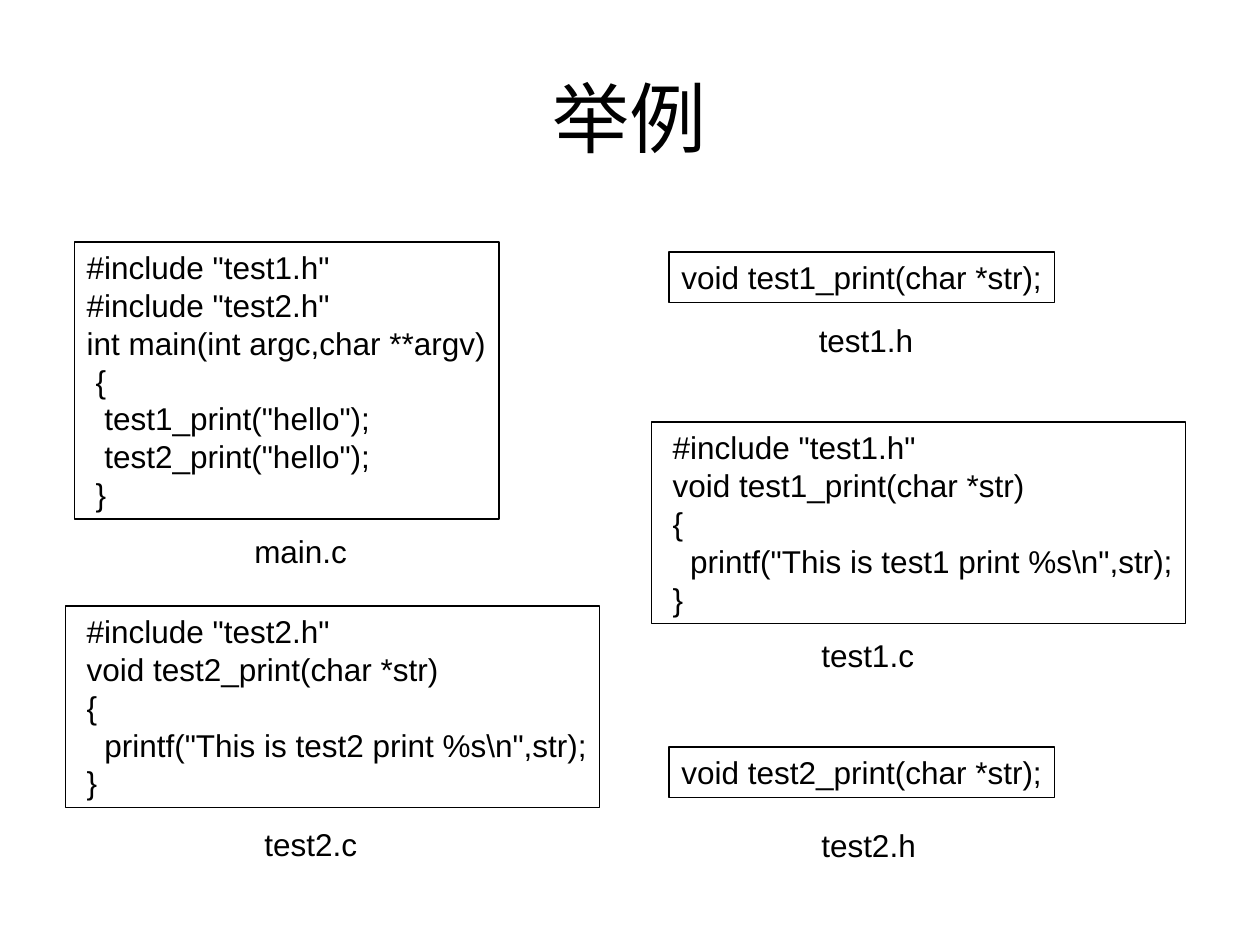
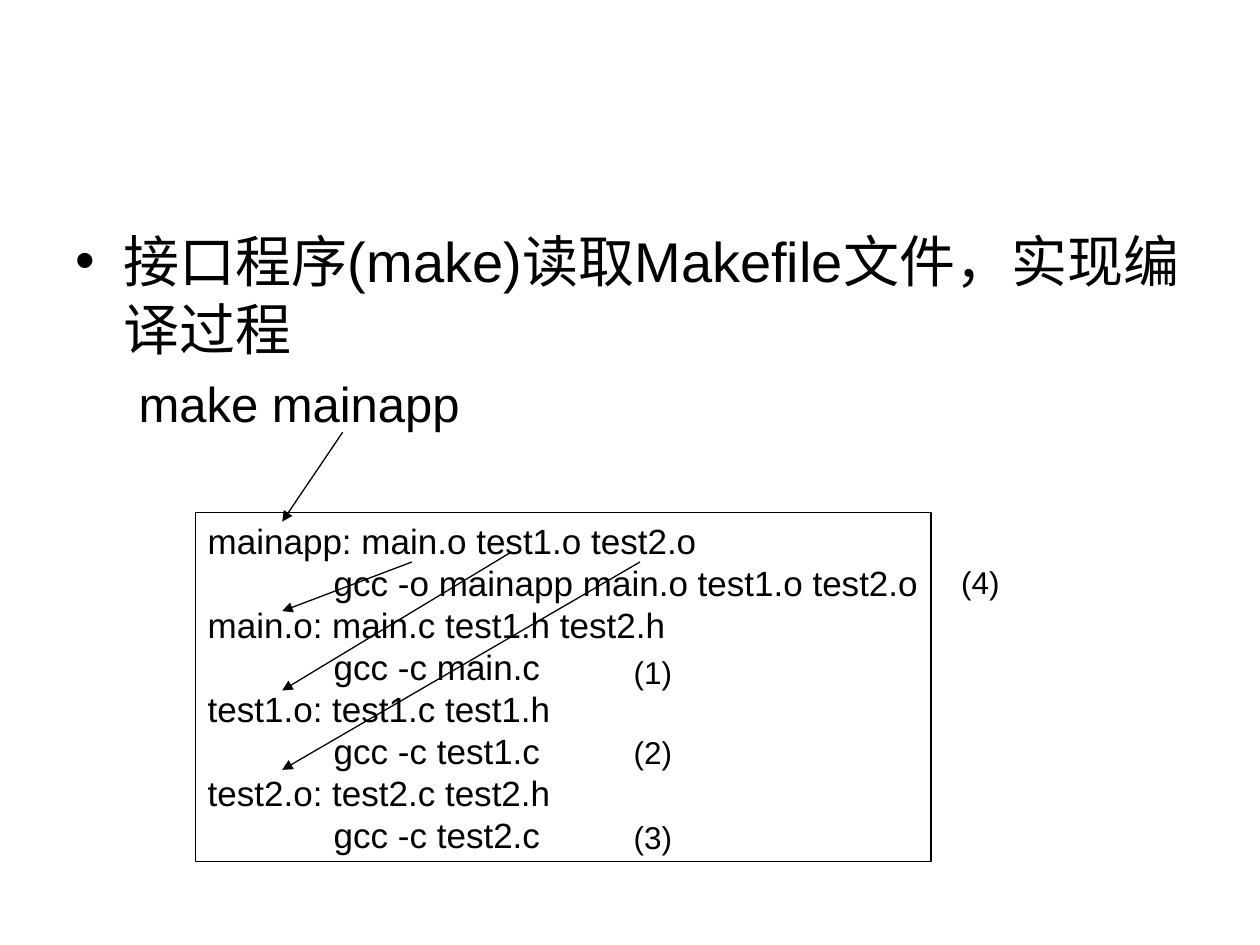
from lxml import etree
from pptx import Presentation
from pptx import util as u
from pptx.dml import color
from pptx.enum import shapes, text
from pptx.oxml import ns

COLOURS = {"ink": "000000", "paper": "FFFFFF"}
FONT = "Arial"
LINE_WIDTH = 0.75
SPACE = 0.07
LABEL_HEIGHT = 0.4
FILE_LABEL_WIDTH = 1
STEP_LABEL_WIDTH = 0.55
FRAME = {
    "margin_left": u.Inches(0.1),
    "margin_right": u.Inches(0.1),
    "margin_top": u.Inches(0.05),
    "margin_bottom": u.Inches(0.05),
}
FITTED = {
    **FRAME,
    "word_wrap": False,
    "auto_size": text.MSO_AUTO_SIZE.SHAPE_TO_FIT_TEXT,
    "vertical_anchor": text.MSO_ANCHOR.MIDDLE,
}
PLAIN = {**FRAME, "word_wrap": True, "auto_size": text.MSO_AUTO_SIZE.NONE}
TITLE = {**PLAIN, "vertical_anchor": text.MSO_ANCHOR.MIDDLE}
BODY = {**PLAIN, "vertical_anchor": text.MSO_ANCHOR.TOP}


def colour(name):
    """Return a named colour as an RGB value."""
    return color.RGBColor.from_string(COLOURS[name])


def apply(target, values):
    """Set every attribute in values on the target."""
    for name, value in values.items():
        setattr(target, name, value)


def place(shape, box):
    """Move a shape to the box (left, top, width, height) in inches."""
    names = ("left", "top", "width", "height")
    apply(shape, dict(zip(names, map(u.Inches, box))))


def indent(paragraph, margin, first=0, bullet=None):
    """Set the margin, the first-line offset and the bullet of a paragraph."""
    properties = paragraph._p.get_or_add_pPr()
    properties.set("marL", str(u.Inches(margin)))
    properties.set("indent", str(u.Inches(first)))
    if bullet:
        etree.SubElement(properties, ns.qn("a:buChar")).set("char", bullet)
    else:
        etree.SubElement(properties, ns.qn("a:buNone"))


def write(paragraph, words, size, align=text.PP_ALIGN.LEFT):
    """Fill a paragraph with one formatted run."""
    paragraph.alignment = align
    run = paragraph.add_run()
    run.text = words
    apply(run.font, {"name": FONT, "size": u.Pt(size)})
    run.font.color.rgb = colour("ink")


def add_title(slide, words):
    """Fill the title placeholder."""
    title = slide.shapes.title
    place(title, (0.5, 0.3, 9, 1.25))
    apply(title.text_frame, TITLE)
    write(title.text_frame.paragraphs[0], words, 44, text.PP_ALIGN.CENTER)


def add_body(slide, box, point, command):
    """Fill the body placeholder with a bullet and a command below it."""
    body = slide.placeholders[1]
    place(body, box)
    frame = body.text_frame
    apply(frame, BODY)
    first, second = frame.paragraphs[0], frame.add_paragraph()
    second.level = 1
    first.space_before, second.space_before = u.Pt(8), u.Pt(7)
    indent(first, 0.38, -0.38, "•")
    indent(second, 0.5)
    write(first, point, 32)
    write(second, command, 28)


def add_code(slide, box, lines, size=18):
    """Draw a framed listing of (margin, code) lines."""
    listing = slide.shapes.add_shape(
        shapes.MSO_SHAPE.RECTANGLE, *map(u.Inches, box))
    listing.shadow.inherit = False
    listing.fill.background()
    listing.line.color.rgb = colour("ink")
    listing.line.width = u.Pt(LINE_WIDTH)
    frame = listing.text_frame
    apply(frame, FITTED)
    for number, (margin, code) in enumerate(lines):
        paragraph = frame.add_paragraph() if number else frame.paragraphs[0]
        indent(paragraph, margin)
        write(paragraph, code, size)


def add_label(slide, left, top, words, width):
    """Write a short label beside or below a listing."""
    label = slide.shapes.add_textbox(
        *map(u.Inches, (left, top, width, LABEL_HEIGHT)))
    apply(label.text_frame, FITTED)
    write(label.text_frame.paragraphs[0], words, 18)


def add_arrow(slide, start, end):
    """Draw a thin arrow from start to end."""
    arrow = slide.shapes.add_connector(
        shapes.MSO_CONNECTOR.STRAIGHT, *map(u.Inches, start + end))
    arrow.line.color.rgb = colour("ink")
    arrow.line.width = u.Pt(LINE_WIDTH)
    outline = arrow.line._get_or_add_ln()
    etree.SubElement(outline, ns.qn("a:tailEnd")).set("type", "triangle")
    etree.SubElement(arrow._element.spPr, ns.qn("a:effectLst"))


def source_lines(name):
    """Return the lines of the source file of a test module."""
    return [
        (SPACE, f'#include "{name}.h"'),
        (SPACE, f"void {name}_print(char *str)"),
        (SPACE, "{"),
        (3 * SPACE, f'printf("This is {name} print %s\\n",str);'),
        (SPACE, "}"),
    ]


def header_lines(name):
    """Return the line of the header file of a test module."""
    return [(0, f"void {name}_print(char *str);")]


def add_files_slide(presentation):
    """Add the slide with the five example files."""
    slide = presentation.slides.add_slide(presentation.slide_layouts[5])
    add_title(slide, "举例")
    main_lines = [
        (0, '#include "test1.h"'),
        (0, '#include "test2.h"'),
        (0, "int main(int argc,char **argv)"),
        (SPACE, "{"),
        (2 * SPACE, 'test1_print("hello");'),
        (2 * SPACE, 'test2_print("hello");'),
        (SPACE, "}"),
    ]
    files = [
        ("main.c", (0.59, 1.92, 3.37, 2.2), main_lines, (1.92, 4.17)),
        ("test1.h", (5.31, 2, 3.06, 0.4), header_lines("test1"), (6.4, 2.5)),
        ("test1.c", (5.17, 3.35, 4.24, 1.6), source_lines("test1"), (6.42, 5)),
        ("test2.h", (5.31, 5.93, 3.06, 0.4), header_lines("test2"),
         (6.42, 6.51)),
        ("test2.c", (0.52, 4.81, 4.24, 1.6), source_lines("test2"), (2, 6.5)),
    ]
    for name, box, lines, (left, top) in files:
        add_code(slide, box, lines)
        add_label(slide, left, top, name, FILE_LABEL_WIDTH)


def add_makefile(slide, box):
    """Draw the makefile with its dependency arrows and build order."""
    left, top, width, _ = box
    rules = [
        ("mainapp: main.o test1.o test2.o",
         "gcc -o mainapp main.o test1.o test2.o"),
        ("main.o: main.c test1.h test2.h", "gcc -c main.c"),
        ("test1.o: test1.c test1.h", "gcc -c test1.c"),
        ("test2.o: test2.c test2.h", "gcc -c test2.c"),
    ]
    lines = [line for target, command in rules
             for line in ((0, target), (1, command))]
    add_code(slide, box, lines, 20)
    arrows = [(1.17, -0.64, 0.07), (1.72, 0.39, 0.78),
              (2.51, 0.31, 1.41), (3.53, 0.39, 2.04)]
    for start_x, start_y, end_y in arrows:
        add_arrow(slide, (left + start_x, top + start_y),
                  (left + 0.69, top + end_y))
    steps = [(3.38, 1.06), (3.38, 1.7), (3.38, 2.37), (width + 0.14, 0.35)]
    for number, (x, y) in enumerate(steps, 1):
        add_label(slide, left + x, top + y, f"({number})", STEP_LABEL_WIDTH)


def add_make_slide(presentation):
    """Add the slide on how make reads the makefile."""
    slide = presentation.slides.add_slide(presentation.slide_layouts[1])
    title = slide.shapes.title._element
    title.getparent().remove(title)
    add_body(slide, (0.5, 1.75, 9, 4.95),
             "接口程序(make)读取Makefile文件，实现编译过程", "make mainapp")
    add_makefile(slide, (1.55, 4.07, 5.84, 2.77))


def main():
    """Build and save the presentation."""
    presentation = Presentation()
    apply(presentation,
          {"slide_width": u.Inches(10), "slide_height": u.Inches(7.5)})
    background = presentation.slide_master.background.fill
    background.solid()
    background.fore_color.rgb = colour("paper")
    add_files_slide(presentation)
    add_make_slide(presentation)
    presentation.save("out.pptx")


if __name__ == "__main__":
    main()
